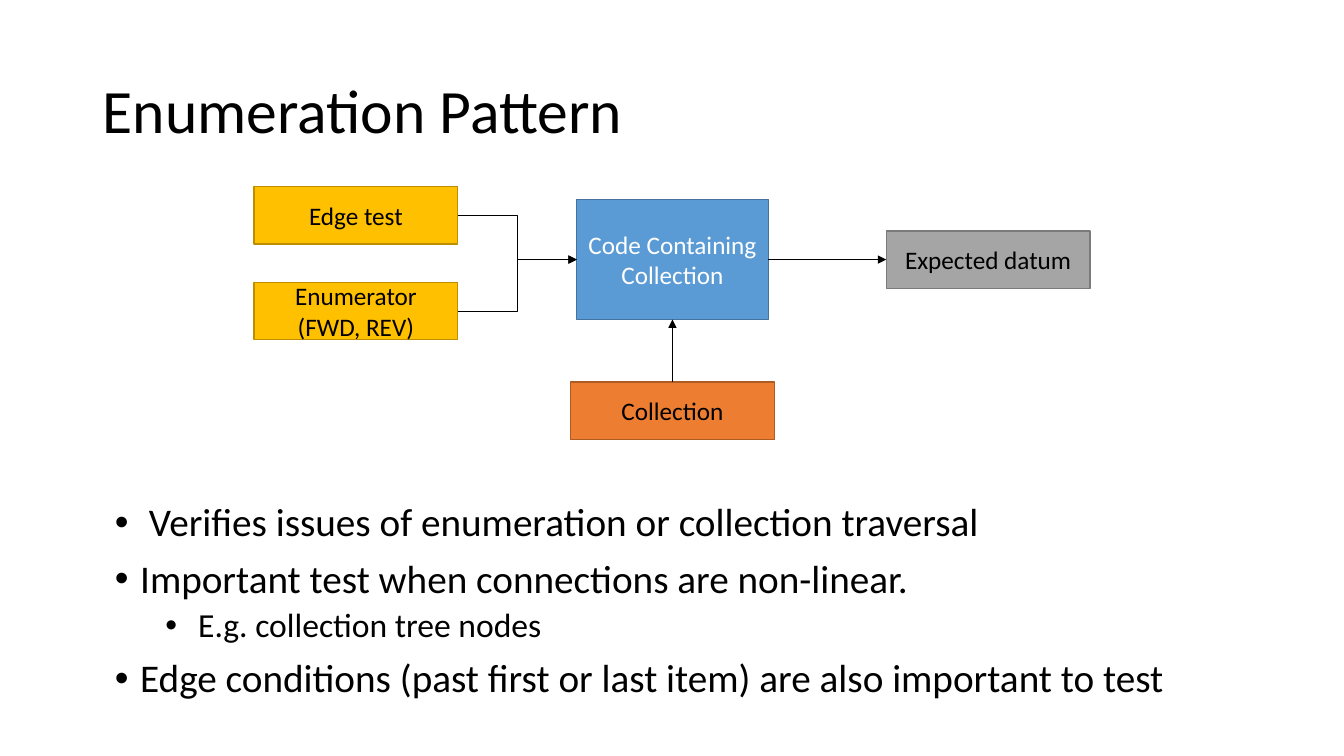
from dataclasses import dataclass

from lxml.etree import SubElement
from pptx import Presentation
from pptx.dml.color import RGBColor
from pptx.enum.shapes import MSO_CONNECTOR, MSO_SHAPE
from pptx.enum.text import MSO_ANCHOR, MSO_AUTO_SIZE, PP_ALIGN
from pptx.oxml.ns import qn
from pptx.util import Inches, Pt

# Content
HEADING = "Enumeration Pattern"
POINTS = [  # level, text
    (0, " Verifies issues of enumeration or collection traversal"),
    (0, "Important test when connections are non-linear."),
    (1, " E.g. collection tree nodes"),
    (0, "Edge conditions (past first or last item) are also important to test"),
]
SMALL, LARGE = (202, 57), (190, 119)
BOXES = {  # label: (role, left, top, size)
    "Edge test": ("input", 252, 185, SMALL),
    "Code Containing Collection": ("code", 572, 198, LARGE),
    "Enumerator (FWD, REV)": ("input", 252, 280, SMALL),
    "Expected datum": ("result", 879, 229, SMALL),
    "Collection": ("collection", 566, 379, SMALL),
}
TOP, LEFT, BOTTOM, RIGHT = range(4)
ARROWS = [  # from, side, to, side, route
    ("Edge test", RIGHT, "Code Containing Collection", LEFT, MSO_CONNECTOR.ELBOW),
    ("Enumerator (FWD, REV)", RIGHT, "Code Containing Collection", LEFT, MSO_CONNECTOR.ELBOW),
    ("Collection", TOP, "Code Containing Collection", BOTTOM, MSO_CONNECTOR.STRAIGHT),
    ("Code Containing Collection", RIGHT, "Expected datum", LEFT, MSO_CONNECTOR.STRAIGHT),
]


@dataclass(frozen=True)
class Theme:
    font = "Calibri"
    ink = "000000"
    roles = {  # fill, outline, text
        "input": ("FFC000", "BD8E00", "000000"),
        "code": ("5B9BD5", "43739E", "FFFFFF"),
        "result": ("A5A5A5", "7A7A7A", "000000"),
        "collection": ("ED7D31", "AF5C24", "000000"),
    }
    title_size = 44
    level_sizes = (28, 24)
    level_space = (10, 5)
    box_size = 18


THEME = Theme()


def px(length):
    return Inches(length / 100)


def place(shape, left, top, width, height):
    shape.left, shape.top = px(left), px(top)
    shape.width, shape.height = px(width), px(height)


def style(paragraph, size, color, align):
    paragraph.alignment = align
    paragraph.font.name = THEME.font
    paragraph.font.size = Pt(size)
    paragraph.font.color.rgb = RGBColor.from_string(color)


def add_bullet(paragraph, level):
    properties = paragraph._p.get_or_add_pPr()
    properties.set("marL", str(px(25 + 50 * level)))
    properties.set("indent", str(px(-25)))
    SubElement(properties, qn("a:buFont")).set("typeface", "Arial")
    SubElement(properties, qn("a:buChar")).set("char", "•")


def add_box(slide, label, role, left, top, size):
    fill, outline, ink = THEME.roles[role]
    box = slide.shapes.add_shape(MSO_SHAPE.RECTANGLE, px(left), px(top), *map(px, size))
    box.shadow.inherit = False
    box.fill.solid()
    box.fill.fore_color.rgb = RGBColor.from_string(fill)
    box.line.color.rgb = RGBColor.from_string(outline)
    box.line.width = Pt(1)
    frame = box.text_frame
    frame.word_wrap = True
    frame.vertical_anchor = MSO_ANCHOR.MIDDLE
    frame.text = label
    style(frame.paragraphs[0], THEME.box_size, ink, PP_ALIGN.CENTER)
    return box


def add_arrow(slide, source, source_side, target, target_side, route):
    arrow = slide.shapes.add_connector(route, 0, 0, 0, 0)
    arrow.begin_connect(source, source_side)
    arrow.end_connect(target, target_side)
    arrow.line.color.rgb = RGBColor.from_string(THEME.ink)
    arrow.line.width = Pt(0.5)
    SubElement(arrow.line._get_or_add_ln(), qn("a:tailEnd")).set("type", "triangle")
    SubElement(arrow._element.spPr, qn("a:effectLst"))


def main():
    deck = Presentation()
    deck.slide_width, deck.slide_height = px(1333), px(750)
    slide = deck.slides.add_slide(deck.slide_layouts[1])
    title, body = slide.placeholders

    # Title
    place(title, 92, 40, 1150, 145)
    title.text_frame.text = HEADING
    title.text_frame.vertical_anchor = MSO_ANCHOR.MIDDLE
    title.text_frame.paragraphs[0].line_spacing = 0.9
    style(title.text_frame.paragraphs[0], THEME.title_size, THEME.ink, PP_ALIGN.LEFT)

    # Bullet list
    place(body, 104, 494, 1137, 214)
    frame = body.text_frame
    frame.auto_size = MSO_AUTO_SIZE.NONE
    frame.text = "\n".join(text for _, text in POINTS)
    for index, (point, (level, _)) in enumerate(zip(frame.paragraphs, POINTS)):
        point.level = level
        add_bullet(point, level)
        point.line_spacing = 0.9
        point.space_before = Pt(THEME.level_space[level] if index else 0)
        style(point, THEME.level_sizes[level], THEME.ink, PP_ALIGN.LEFT)

    # Diagram
    boxes = {label: add_box(slide, label, *details) for label, details in BOXES.items()}
    for source, source_side, target, target_side, route in ARROWS:
        add_arrow(slide, boxes[source], source_side, boxes[target], target_side, route)

    deck.save("out.pptx")


if __name__ == "__main__":
    main()
